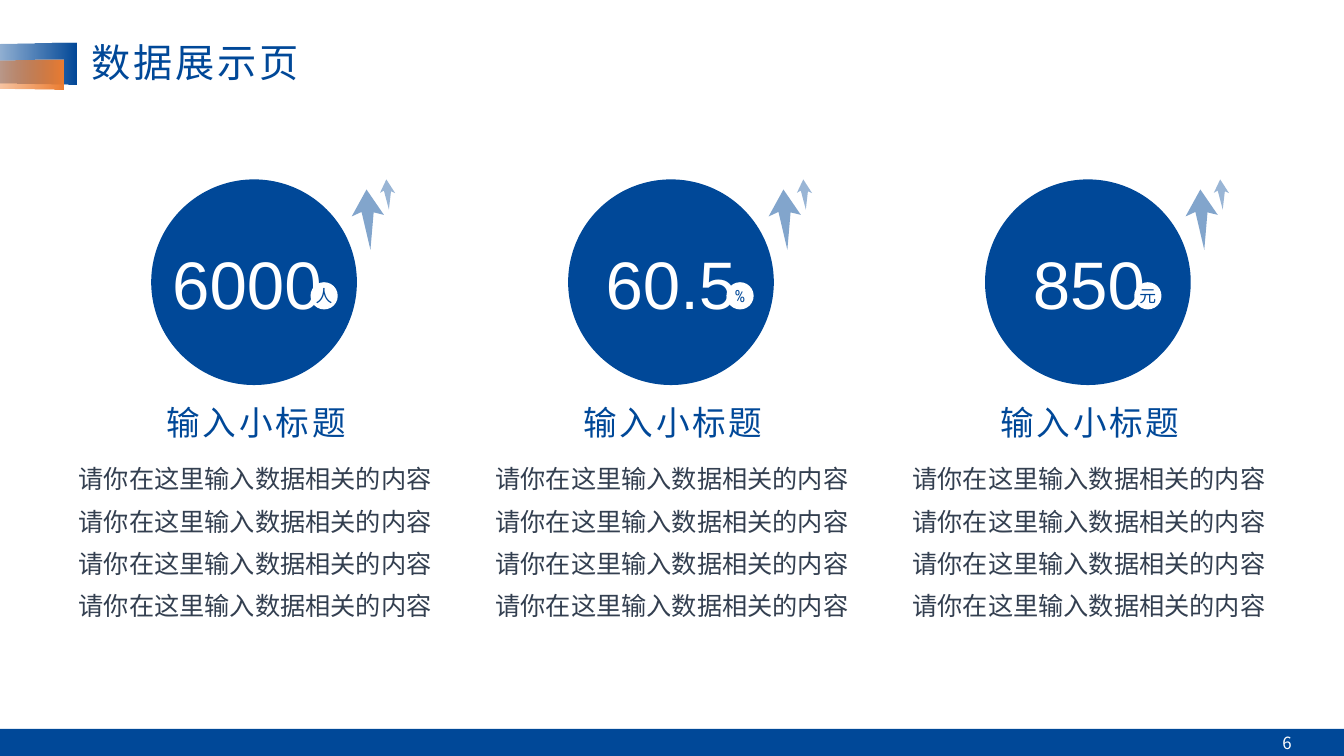
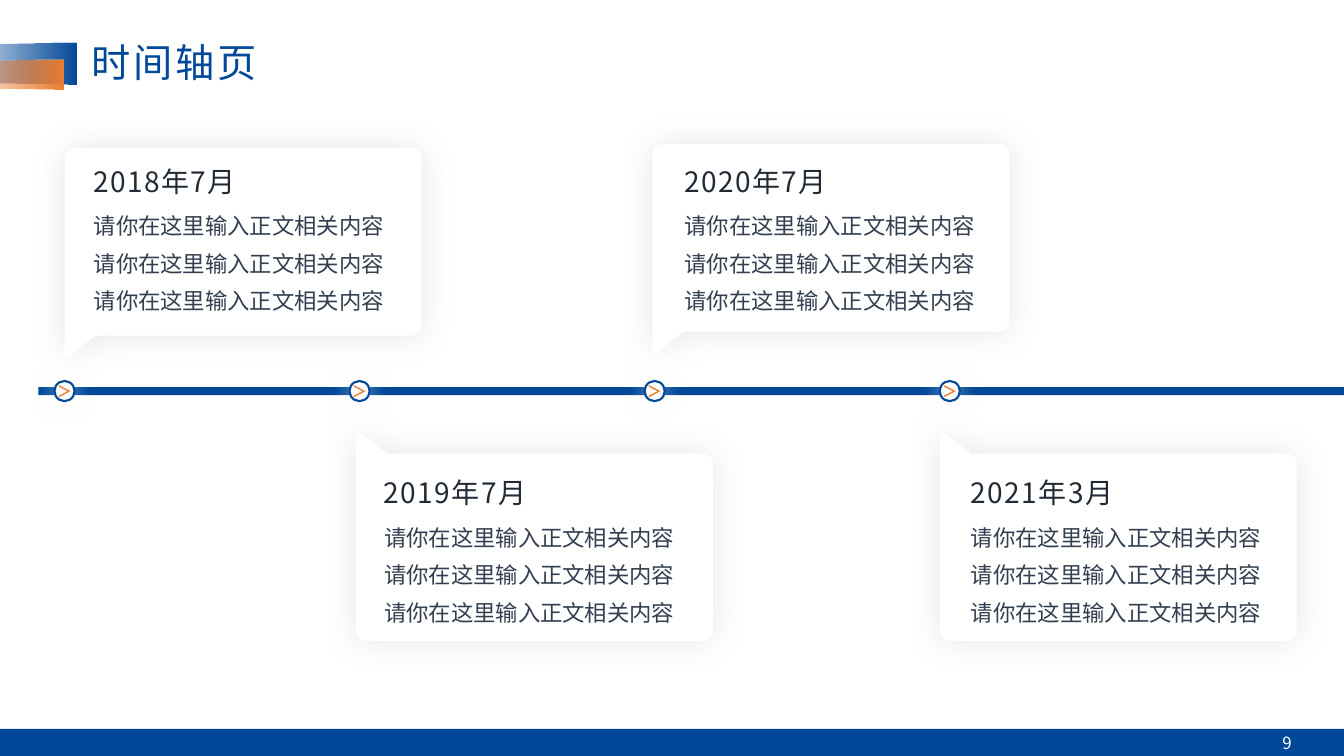
from math import cos, pi, sin

from lxml import etree
from pptx import Presentation
from pptx.dml.color import RGBColor
from pptx.enum.shapes import MSO_SHAPE
from pptx.enum.text import MSO_ANCHOR, PP_ALIGN
from pptx.oxml.ns import qn
from pptx.util import Inches, Pt

BLUE = RGBColor(0x00, 0x48, 0x98)
ORANGE = RGBColor(0xED, 0x7D, 0x31)
WHITE = RGBColor(0xFF, 0xFF, 0xFF)
BLACK = RGBColor(0x00, 0x00, 0x00)
INK = RGBColor(0x22, 0x2A, 0x35)
SLATE = RGBColor(0x33, 0x3F, 0x50)

FACE = "Noto Sans CJK JP"
LEFT, CENTER, RIGHT = PP_ALIGN.LEFT, PP_ALIGN.CENTER, PP_ALIGN.RIGHT
TOP, MIDDLE = MSO_ANCHOR.TOP, MSO_ANCHOR.MIDDLE
OVAL, RECT, TRAPEZOID = MSO_SHAPE.OVAL, MSO_SHAPE.RECTANGLE, MSO_SHAPE.TRAPEZOID

# Number, unit, then centre of the number and left of the badge within the circle
FIGURES = [
    ("6000", "人", 0.95, 1.58),
    ("60.5", "%", 1.02, 1.57),
    ("850", "元", 1.03, 1.48),
]
LABEL = "输入小标题"
FIGURE_LINES = ["请你在这里输入数据相关的内容"] * 4

# Date, card left and top, text left, whether the card is above the axis
EVENTS = [
    ("2018年7月", 0.64, 1.47, 0.83, True),
    ("2019年7月", 3.53, 4.26, 3.71, False),
    ("2020年7月", 6.47, 1.43, 6.69, True),
    ("2021年3月", 9.32, 4.26, 9.53, False),
]
EVENT_LINES = ["请你在这里输入正文相关内容"] * 3

# Accent trapezoids: place, colour
ACCENTS = [
    ((-0.12, -0.04, 0.41, 1.34), BLUE),
    ((-0.09, 0.16, 0.29, 1.16), ORANGE),
]

# Arrow outlines within a column, with opacity in percent
ARROWS = [
    ([(1.99, 0.36), (2.09, 0.32), (2.16, 0.7), (2.21, 0.33),
      (2.31, 0.36), (2.15, 0.1)], 49),
    ([(2.27, 0.13), (2.31, 0.11), (2.35, 0.3), (2.38, 0.12),
      (2.42, 0.14), (2.34, 0)], 40),
]


def box(place):
    return [Inches(v) for v in place]


def fade(color, percent):
    """Give a colour element an opacity."""
    etree.SubElement(color, qn("a:alpha")).set("val", str(percent * 1000))


def paint(shape, fill):
    shape.shadow.inherit = False
    shape.fill.solid()
    shape.fill.fore_color.rgb = fill
    shape.line.fill.background()
    return shape


def glow(shape, color, percent, blur):
    """Add a soft shadow on all sides."""
    effects = shape.element.spPr.find(qn("a:effectLst"))
    outer = etree.SubElement(effects, qn("a:outerShdw"), blurRad=str(Pt(blur)),
                             dist="0", dir="0", algn="ctr", rotWithShape="0")
    fade(etree.SubElement(outer, qn("a:srgbClr"), val=str(color)), percent)


def add(slide, kind, place, fill):
    return paint(slide.shapes.add_shape(kind, *box(place)), fill)


def trace(slide, points, fill):
    """Draw a closed outline through points given in inches."""
    spots = [(Inches(x), Inches(y)) for x, y in points]
    pen = slide.shapes.build_freeform(*spots[0])
    pen.add_line_segments(spots[1:], close=True)
    return paint(pen.convert_to_shape(), fill)


def write(shape, lines, size, color, align=CENTER, anchor=TOP, font=FACE,
          spacing=0, leading=None, bold=False):
    frame = shape.text_frame
    frame.text = "\n".join(lines)
    frame.word_wrap = align != CENTER
    frame.vertical_anchor = anchor
    for para in frame.paragraphs:
        para.alignment = align
        if leading:
            para.line_spacing = leading
        for run in para.runs:
            run.font.size = Pt(size)
            run.font.name = font
            run.font.color.rgb = color
            run.font.bold = bold
            props = run.font._element
            etree.SubElement(props, qn("a:ea"), typeface=font)
            if spacing:
                props.set("spc", str(spacing * 100))


def note(slide, place, lines, size, color, **style):
    write(slide.shapes.add_textbox(*box(place)), lines, size, color, **style)


def inset(shape, text, size, color, **style):
    """Centre a short text in a small shape without margins."""
    frame = shape.text_frame
    frame.margin_left = frame.margin_right = 0
    frame.margin_top = frame.margin_bottom = 0
    write(shape, [text], size, color, anchor=MIDDLE, **style)


def start(deck, title, page):
    """Add a slide with the shared accents, title, band and page number."""
    slide = deck.slides.add_slide(deck.slide_layouts[5])
    for place, color in ACCENTS:
        accent = add(slide, TRAPEZOID, place, color)
        accent.rotation = 270
        accent.adjustments[0] = 0.07
        accent.fill.gradient()
        accent.fill.gradient_angle = 270
        for stop in accent.fill.gradient_stops:
            stop.color.rgb = color
        fade(next(accent.element.spPr.iter(qn("a:srgbClr"))), 0)
    add(slide, RECT, (-0.01, 7.23, 13.34, 0.28), BLUE)
    head = slide.shapes.title
    head.left, head.top, head.width, head.height = box((0.81, 0.38, 7.96, 0.52))
    write(head, [title], 28, BLUE, align=LEFT, anchor=MIDDLE, spacing=2,
          leading=0.9)
    note(slide, (9.91, 7.17, 3, 0.4), [page], 12, WHITE, align=RIGHT,
         anchor=MIDDLE)
    return slide


def figures(deck):
    slide = start(deck, "数据展示页", "6")
    first, last, top = 1.5, 9.77, 1.78
    step = (last - first) / (len(FIGURES) - 1)
    for i, (number, unit, middle, badge) in enumerate(FIGURES):
        left = first + i * step
        for points, percent in ARROWS:
            arrow = trace(slide, [(left + x, top + y) for x, y in points], BLUE)
            arrow.rotation = 357.2
            fade(next(arrow.element.spPr.iter(qn("a:srgbClr"))), percent)
        add(slide, OVAL, (left, top, 2.04, 2.04), BLUE)
        note(slide, (left + middle - 0.85, 2.35, 1.7, 0.91), [number], 48,
             WHITE, font="Arial")
        dot = add(slide, OVAL, (left + badge, 2.8, 0.27, 0.27), WHITE)
        inset(dot, unit, 12, BLUE, font="Roboto Condensed")
        note(slide, (left + 0.02, 3.94, 2.04, 0.5), [LABEL], 24, BLUE, spacing=2)
        note(slide, (left - 0.84, 4.43, 3.74, 1.75), FIGURE_LINES, 18, SLATE,
             leading=1.4)


def card(slide, left, top, above):
    """Draw a rounded card whose tail points to the axis."""
    wide, body, full, curve, steps = 3.54, 1.86, 2.1, 0.1, 6
    corners = [(curve, curve, pi), (wide - curve, curve, 1.5 * pi),
               (wide - curve, body - curve, 0)]
    points = [(x + curve * cos(turn + k * pi / 2 / steps),
               y + curve * sin(turn + k * pi / 2 / steps))
              for x, y, turn in corners for k in range(steps + 1)]
    points += [(0.31, body), (0, full)]
    shape = trace(slide, [(left + x, top + (y if above else full - y))
                          for x, y in points], WHITE)
    glow(shape, BLACK, 10, 25)


def timeline(deck):
    slide = start(deck, "时间轴页", "9")
    for _, left, top, _, above in EVENTS:
        card(slide, left, top, above)
    add(slide, RECT, (0.38, 3.84, 12.95, 0.08), BLUE)
    first, last = 0.54, 9.32
    step = (last - first) / (len(EVENTS) - 1)
    for i, (date, _, _, left, above) in enumerate(EVENTS):
        node = add(slide, OVAL, (first + i * step, 3.78, 0.2, 0.2), WHITE)
        node.line.color.rgb = BLUE
        node.line.width = Pt(1.5)
        glow(node, WHITE, 53, 15)
        inset(node, "＞", 11, ORANGE, bold=True)
        top = 1.58 if above else 4.67
        note(slide, (left, top, 2.15, 0.44), [date], 20, INK, align=LEFT,
             spacing=1)
        note(slide, (left - 0.02, top + 0.37, 3.12, 1.19), EVENT_LINES, 16,
             SLATE, leading=1.4)


def main():
    deck = Presentation()
    deck.slide_width, deck.slide_height = Inches(13.33), Inches(7.5)
    figures(deck)
    timeline(deck)
    deck.save("out.pptx")


if __name__ == "__main__":
    main()
